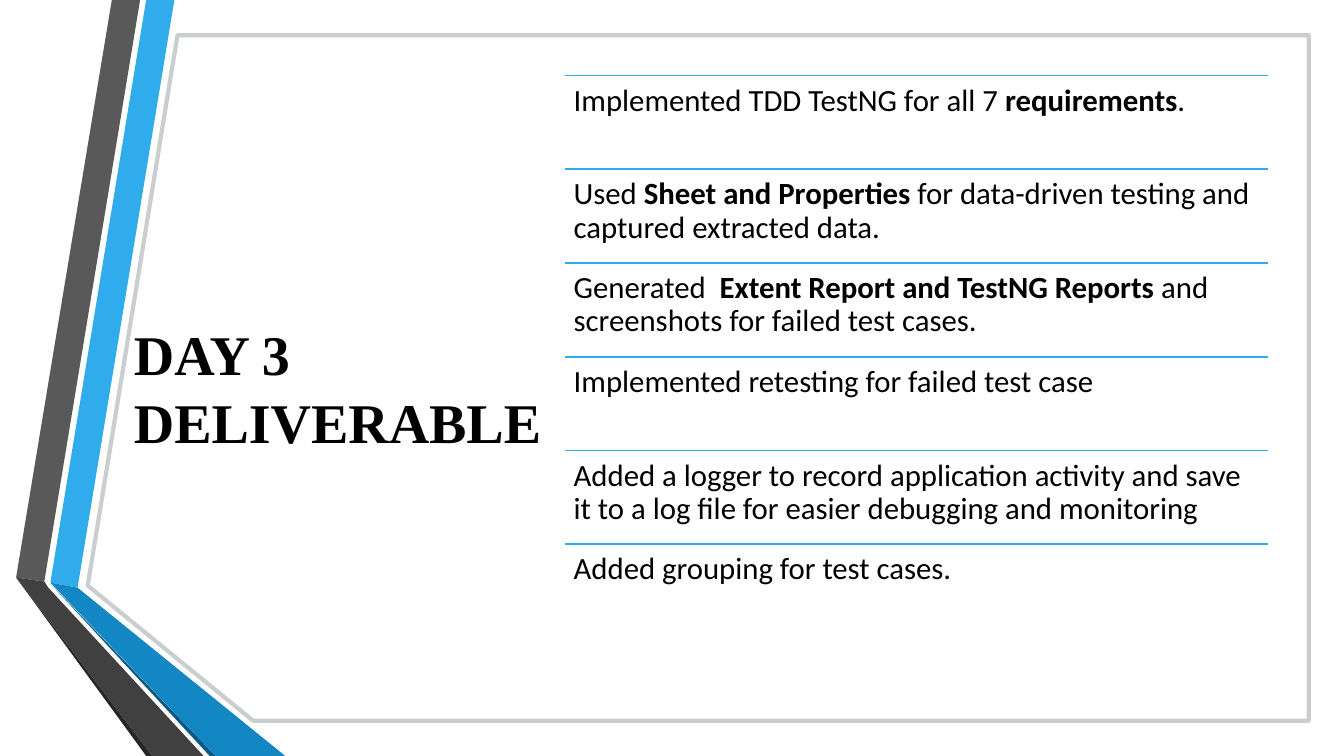
"""Build the Day 3 deliverable slide: folded ribbons, a title and a ruled list."""
from dataclasses import dataclass

from lxml import etree
from pptx import Presentation
from pptx.dml.color import RGBColor
from pptx.enum.shapes import MSO_CONNECTOR
from pptx.enum.text import MSO_ANCHOR
from pptx.oxml.ns import qn
from pptx.util import Pt

STRAIGHT = MSO_CONNECTOR.STRAIGHT
TOP = MSO_ANCHOR.TOP
MIDDLE = MSO_ANCHOR.MIDDLE
PX = 9144


@dataclass(frozen=True)
class Theme:
    blue: str = "30ACEC"
    blue_fold: str = "1287C3"
    blue_edge: str = "0C5A82"
    grey: str = "595959"
    grey_fold: str = "404040"
    grey_edge: str = "262626"
    frame: str = "CBCECF"
    paper: str = "FFFFFF"
    ink: str = "000000"
    title_font: str = "Times New Roman"
    body_font: str = "Calibri"
    title_size: int = 40
    body_size: int = 22
    frame_width: float = 3
    rule_width: float = 1.25


theme = Theme()


def add_outline(page, points, color):
    builder = page.shapes.build_freeform(*points[0], scale=PX)
    builder.add_line_segments(points[1:], close=True)
    shape = builder.convert_to_shape()
    shape.shadow.inherit = False
    shape.fill.solid()
    shape.fill.fore_color.rgb = RGBColor.from_string(color)
    shape.line.fill.background()
    return shape


def add_text(page, bounds, runs, font, size, anchor, inset):
    box = page.shapes.add_textbox(*(value * PX for value in bounds))
    frame = box.text_frame
    frame.word_wrap = True
    frame.vertical_anchor = anchor
    frame.margin_left = frame.margin_right = inset * PX
    frame.margin_top = frame.margin_bottom = inset * PX
    para = frame.paragraphs[0]
    for text, bold in runs:
        span = para.add_run()
        span.text = text
        span.font.name = font
        span.font.size = Pt(size)
        span.font.bold = bold
        span.font.color.rgb = RGBColor.from_string(theme.ink)
    return para


deck = Presentation()
deck.slide_width = 1333 * PX
deck.slide_height = 750 * PX
page = deck.slides.add_slide(deck.slide_layouts[6])

ribbons = [
    (theme.blue, [(50, 578), (77, 583), (173, 0), (145, 0)]),
    (theme.grey, [(139, 0), (111, 0), (16, 573), (44, 577)]),
    (theme.grey_edge, [(16, 573), (145, 750), (151, 750)]),
    (theme.blue_edge, [(50, 579), (208, 750), (214, 750)]),
    (theme.blue_fold, [(50, 578), (214, 750), (283, 750), (77, 583)]),
    (theme.grey_fold, [(202, 750), (48, 583), (44, 577), (16, 573), (151, 750)]),
]
for color, points in ribbons:
    add_outline(page, points, color)

frame_points = [(176, 35), (1298, 35), (1298, 715), (251, 715), (87, 581)]
border = add_outline(page, frame_points, theme.paper)
border.line.color.rgb = RGBColor.from_string(theme.frame)
border.line.width = Pt(theme.frame_width)

add_text(page, (123, 105, 435, 558), [("DAY 3 DELIVERABLE", True)],
         theme.title_font, theme.title_size, MIDDLE, 10)

deliverables = [
    [("Implemented TDD TestNG for all 7 ", False), ("requirements", True), (".", False)],
    [("Used ", False), ("Sheet and Properties", True),
     (" for data-driven testing and captured extracted data.", False)],
    [("Generated ", False), (" Extent Report and TestNG Reports ", True),
     ("and screenshots for failed test cases.", False)],
    [("Implemented retesting for failed test case", False)],
    [("Added a logger to record application activity and save it to a log file "
      "for easier debugging and monitoring", False)],
    [("Added grouping for test cases.", False)],
]
list_left, list_top, list_width, row_height = 560, 75, 698, 93
for index, runs in enumerate(deliverables):
    top = list_top + index * row_height
    rule = page.shapes.add_connector(STRAIGHT, list_left * PX, top * PX,
                                     (list_left + list_width) * PX, top * PX)
    rule.line.color.rgb = RGBColor.from_string(theme.blue)
    rule.line.width = Pt(theme.rule_width)
    etree.SubElement(rule.element.spPr, qn("a:effectLst"))
    para = add_text(page, (list_left, top, list_width, row_height), runs,
                    theme.body_font, theme.body_size, TOP, 9)
    para.line_spacing = 0.9

deck.save("out.pptx")
